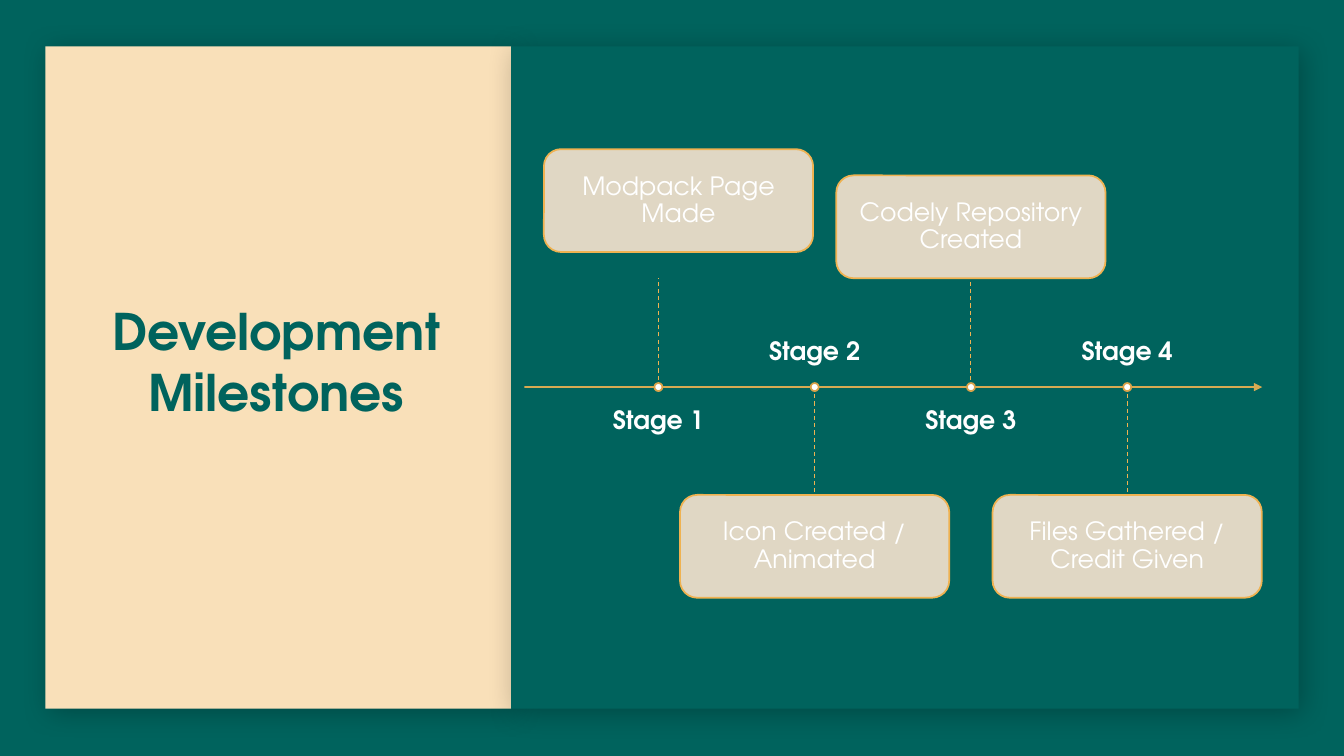
from dataclasses import dataclass

from lxml.etree import SubElement
from pptx import Presentation
from pptx.dml.color import RGBColor
from pptx.enum.dml import MSO_LINE
from pptx.enum.shapes import MSO_CONNECTOR, MSO_SHAPE
from pptx.enum.text import MSO_ANCHOR, PP_ALIGN
from pptx.oxml.ns import qn
from pptx.shapes.autoshape import Shape
from pptx.shapes.connector import Connector
from pptx.slide import Slide
from pptx.util import Inches, Pt

COLORS = {
    "teal": "00635D",
    "cream": "F9E0B9",
    "card": "F9E4D0",
    "gold": "EFB251",
    "dot_edge": "D9A24A",
    "white": "FFFFFF",
    "shadow": "000000",
}
FONT = "TeX Gyre Adventor"
AXIS_Y = 3.84
FIRST_X, STAGE_STEP = 6.53, 1.55
CARD_W, CARD_H = 2.67, 1.02
LABEL_W, LABEL_H = 2.35, 0.64
DOT = 0.08
STEM_TOP, STEM_BOTTOM = 2.76, 4.91


@dataclass(frozen=True)
class Milestone:
    text: str
    card_top: float
    above: bool
    card_shift: float = 0


MILESTONES = [
    Milestone("Modpack Page Made", 1.48, True, 0.2),
    Milestone("Icon Created / Animated", STEM_BOTTOM, False),
    Milestone("Codely Repository Created", STEM_TOP - CARD_H, True),
    Milestone("Files Gathered / Credit Given", STEM_BOTTOM, False),
]


def rgb(name: str) -> RGBColor:
    return RGBColor.from_string(COLORS[name])


def set_alpha(fill_parent, percent: int) -> None:
    """Make the solid fill directly under fill_parent partly transparent."""
    color = fill_parent.find(qn("a:solidFill"))[0]
    SubElement(color, qn("a:alpha"), val=str(percent * 1000))


def add_soft_shadow(panel: Shape) -> None:
    effects = panel.element.spPr.find(qn("a:effectLst"))
    outer = SubElement(effects, qn("a:outerShdw"), blurRad=str(Pt(20)),
                       dist=str(Pt(4)), dir=str(45 * 60000),
                       algn="tl", rotWithShape="0")
    color = SubElement(outer, qn("a:srgbClr"), val=COLORS["shadow"])
    SubElement(color, qn("a:alpha"), val="25000")


def add_filled(slide: Slide, kind: MSO_SHAPE, left: float, top: float,
               width: float, height: float, fill: str,
               edge: str | None = None) -> Shape:
    shape = slide.shapes.add_shape(kind, Inches(left), Inches(top),
                                   Inches(width), Inches(height))
    shape.shadow.inherit = False
    shape.fill.solid()
    shape.fill.fore_color.rgb = rgb(fill)
    if edge:
        shape.line.color.rgb = rgb(edge)
        shape.line.width = Pt(1.25)
    else:
        shape.line.fill.background()
    return shape


def write(shape: Shape, text: str, size: int, color: str, anchor: MSO_ANCHOR,
          inset: float, bold: bool = False, spacing: float = 0.9) -> None:
    frame = shape.text_frame
    frame.word_wrap = True
    frame.vertical_anchor = anchor
    frame.margin_left = frame.margin_right = Inches(inset)
    frame.margin_top = frame.margin_bottom = Inches(inset)
    paragraph = frame.paragraphs[0]
    paragraph.alignment = PP_ALIGN.CENTER
    paragraph.line_spacing = spacing
    run = paragraph.add_run()
    run.text = text
    run.font.name = FONT
    run.font.size = Pt(size)
    run.font.bold = bold
    run.font.color.rgb = rgb(color)


def add_textbox(slide: Slide, left: float, top: float,
                width: float, height: float) -> Shape:
    return slide.shapes.add_textbox(Inches(left), Inches(top),
                                    Inches(width), Inches(height))


def add_line(slide: Slide, x1: float, y1: float, x2: float, y2: float,
             width: float) -> Connector:
    line = slide.shapes.add_connector(MSO_CONNECTOR.STRAIGHT, Inches(x1),
                                      Inches(y1), Inches(x2), Inches(y2))
    line.line.color.rgb = rgb("gold")
    line.line.width = Pt(width)
    SubElement(line.element.spPr, qn("a:effectLst"))
    return line


def add_panels(slide: Slide) -> None:
    for left, width, fill in ((0.45, 4.62, "cream"), (5.07, 7.81, "teal")):
        panel = add_filled(slide, MSO_SHAPE.RECTANGLE, left, 0.46, width, 6.57, fill)
        add_soft_shadow(panel)


def add_axis(slide: Slide) -> None:
    axis = add_line(slide, 5.2, AXIS_Y, 12.52, AXIS_Y, 1.25)
    outline = axis.line._get_or_add_ln()
    set_alpha(outline, 90)
    SubElement(outline, qn("a:tailEnd"), type="triangle")


def add_milestone(slide: Slide, number: int, milestone: Milestone) -> None:
    """Draw the card, stem, dot and stage label of one milestone."""
    x = FIRST_X + (number - 1) * STAGE_STEP
    card = add_filled(slide, MSO_SHAPE.ROUNDED_RECTANGLE,
                      x - CARD_W / 2 + milestone.card_shift, milestone.card_top,
                      CARD_W, CARD_H, "card", "gold")
    set_alpha(card.element.spPr, 90)
    write(card, milestone.text, 18, "white", MSO_ANCHOR.MIDDLE, 0.17)

    stem_end = STEM_TOP if milestone.above else STEM_BOTTOM
    stem = add_line(slide, x, AXIS_Y, x, stem_end, 0.75)
    stem.line.dash_style = MSO_LINE.DASH
    if not milestone.card_shift:
        stem.end_connect(card, 2 if milestone.above else 0)

    add_filled(slide, MSO_SHAPE.OVAL, x - DOT / 2, AXIS_Y - DOT / 2,
               DOT, DOT, "white", "dot_edge")

    label_top = 4.05 if milestone.above else 2.99
    label = add_textbox(slide, x - LABEL_W / 2, label_top, LABEL_W, LABEL_H)
    anchor = MSO_ANCHOR.TOP if milestone.above else MSO_ANCHOR.BOTTOM
    write(label, f"Stage {number}", 18, "white", anchor, 0, bold=True)


def main() -> None:
    deck = Presentation()
    deck.slide_width, deck.slide_height = Inches(13.33), Inches(7.5)
    slide = deck.slides.add_slide(deck.slide_layouts[6])
    slide.background.fill.solid()
    slide.background.fill.fore_color.rgb = rgb("teal")

    add_panels(slide)
    title = add_textbox(slide, 0.56, 2.38, 4.36, 2.4)
    write(title, "Development Milestones", 36, "teal", MSO_ANCHOR.MIDDLE, 0.1,
          bold=True, spacing=1.0)
    add_axis(slide)
    for number, milestone in enumerate(MILESTONES, start=1):
        add_milestone(slide, number, milestone)
    deck.save("out.pptx")


if __name__ == "__main__":
    main()
